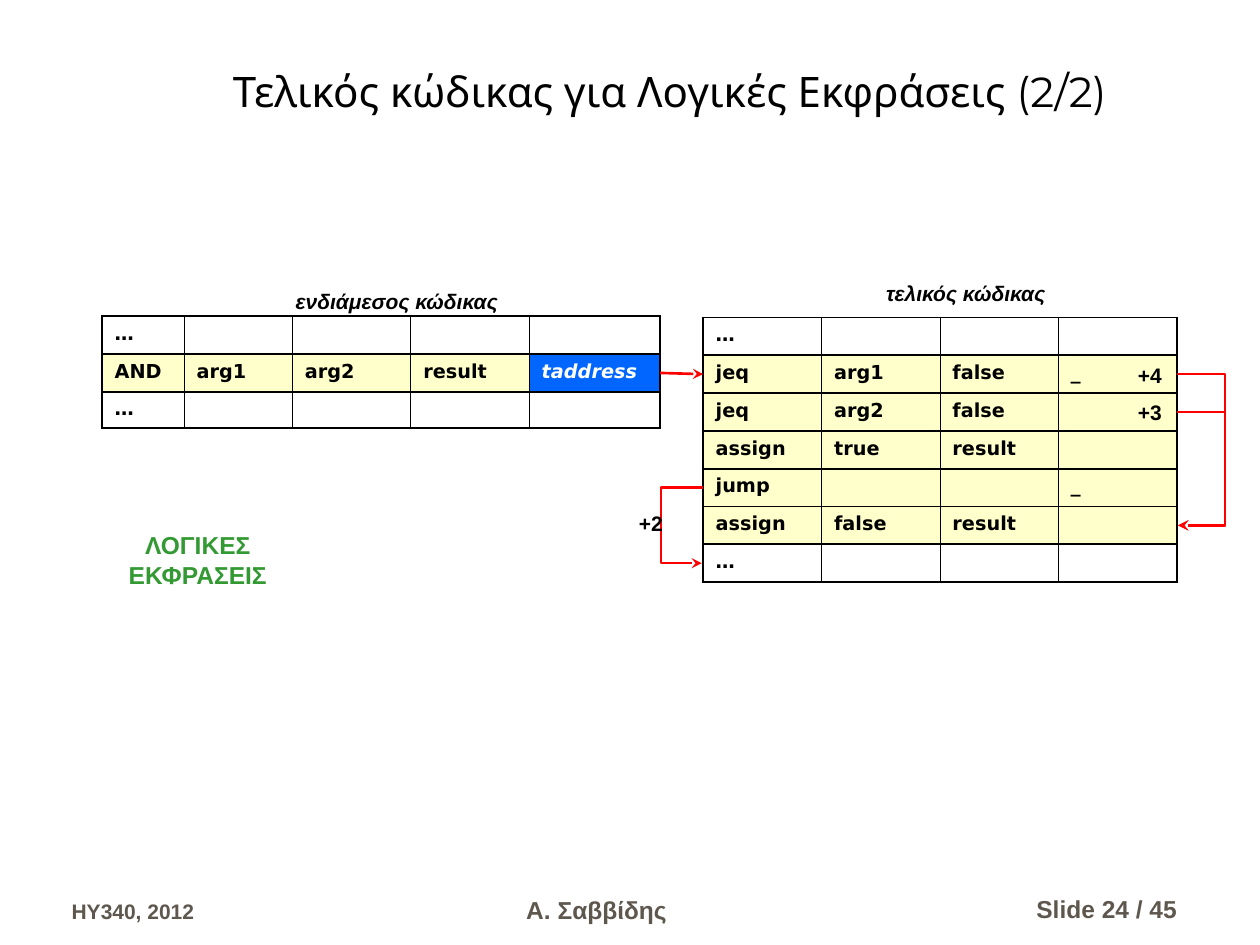
from dataclasses import dataclass

from lxml.etree import SubElement
from pptx import Presentation
from pptx.dml.color import RGBColor
from pptx.enum.shapes import MSO_CONNECTOR
from pptx.enum.text import MSO_ANCHOR, PP_ALIGN
from pptx.oxml import parse_xml
from pptx.oxml.ns import nsdecls, qn
from pptx.util import Inches, Pt


@dataclass(frozen=True)
class Theme:
    black: str = "000000"
    white: str = "FFFFFF"
    code: str = "FFFFCC"
    target: str = "0066FF"
    arrow: str = "FF0000"
    topic: str = "339933"
    footer: str = "5E574E"
    title_font: str = "Montserrat"
    body_font: str = "Arial"
    code_font: str = "DejaVu Sans"
    title_size: int = 24
    large: int = 14
    small: int = 12
    code_size: int = 11
    thick: float = 1.08
    thin: float = 0.45
    arrow_width: float = 1.5


T = Theme()
ROW = 0.3
NUDGE = 0.01
LEFT_X, LEFT_Y = 0.81, 2.51
LEFT_COLS = [0.65, 0.86, 0.94, 0.94, 1.04]
RIGHT_X, RIGHT_Y = 5.58, 2.52
RIGHT_COLS = [0.94] * 4
LEFT_END = LEFT_X + sum(LEFT_COLS)
RIGHT_END = RIGHT_X + sum(RIGHT_COLS)
INTERMEDIATE = [["…"], ["AND", "arg1", "arg2", "result", "taddress"], ["…"]]
FINAL = [
    ["…"],
    ["jeq", "arg1", "false", "_"],
    ["jeq", "arg2", "false"],
    ["assign", "true", "result"],
    ["jump", "", "", "_"],
    ["assign", "false", "result"],
    ["…"],
]


def write(tf, text, size=T.small, font=T.body_font, color=T.black,
          bold=True, italic=False, align=PP_ALIGN.CENTER):
    for i, line in enumerate(text.split("\n")):
        p = tf.add_paragraph() if i else tf.paragraphs[0]
        p.alignment = align
        if not line:
            SubElement(p._p, qn("a:endParaRPr"), sz=str(size * 100))
            continue
        r = p.add_run()
        r.text = line
        r.font.size = Pt(size)
        r.font.name = font
        r.font.bold = bold
        r.font.italic = italic
        r.font.color.rgb = RGBColor.from_string(color)


def add_label(s, box, text, wrap=False, anchor=MSO_ANCHOR.TOP, **fmt):
    tf = s.shapes.add_textbox(*map(Inches, box)).text_frame
    tf.word_wrap = wrap
    tf.vertical_anchor = anchor
    write(tf, text, **fmt)


def set_borders(cell, left, right):
    tc_pr = cell._tc.get_or_add_tcPr()
    widths = {"lnL": left, "lnR": right, "lnT": T.thick, "lnB": T.thick}
    for i, (tag, width) in enumerate(widths.items()):
        tc_pr.insert(i, parse_xml(
            f'<a:{tag} {nsdecls("a")} w="{Pt(width)}"><a:solidFill>'
            f'<a:srgbClr val="{T.black}"/></a:solidFill></a:{tag}>'))


def add_code_table(s, x, y, cols, heights, rows):
    table = s.shapes.add_table(len(rows), len(cols), Inches(x), Inches(y),
                               Inches(sum(cols)), Inches(sum(heights))).table
    table.first_row = table.horz_banding = False
    for col, width in zip(table.columns, cols):
        col.width = Inches(width)
    last = len(cols) - 1
    for row, height, words in zip(table.rows, heights, rows):
        row.height = Inches(height)
        for c, cell in enumerate(row.cells):
            word = words[c] if c < len(words) else ""
            is_target = word == "taddress"
            fill = T.white if words[0] == "…" else T.code
            cell.fill.solid()
            cell.fill.fore_color.rgb = RGBColor.from_string(T.target if is_target else fill)
            write(cell.text_frame, word, size=T.code_size, font=T.code_font,
                  color=T.white if is_target else T.black,
                  italic=word in ("taddress", "_"), align=PP_ALIGN.LEFT)
            set_borders(cell, T.thin if c else T.thick, T.thick if c == last else T.thin)


def add_arrow(s, start, end, reach=None):
    kind = MSO_CONNECTOR.STRAIGHT if reach is None else MSO_CONNECTOR.ELBOW
    cxn = s.shapes.add_connector(kind, *map(Inches, (*start, *end)))
    cxn.line.color.rgb = RGBColor.from_string(T.arrow)
    cxn.line.width = Pt(T.arrow_width)
    SubElement(cxn.line._get_or_add_ln(), qn("a:tailEnd"), type="stealth")
    sp_pr = cxn._element.spPr
    SubElement(sp_pr, qn("a:effectLst"))
    if reach is not None:
        guides = sp_pr.find(qn("a:prstGeom")).find(qn("a:avLst"))
        SubElement(guides, qn("a:gd"), name="adj1",
                   fmla=f"val {round(reach / NUDGE * 100000)}")


def row_middle(row):
    return RIGHT_Y + ROW * (row + 0.5)


def add_jump(s, x, side, first, last, reach):
    add_arrow(s, (x, row_middle(first)), (x + side * NUDGE, row_middle(last)), reach)


def add_title(s, text):
    title = s.shapes.title
    title.left, title.top, title.width, title.height = map(Inches, (1.08, 0.14, 8.47, 0.83))
    title.text_frame.vertical_anchor = MSO_ANCHOR.BOTTOM
    write(title.text_frame, text, size=T.title_size, font=T.title_font, bold=False)


def add_footer(s):
    for box, text, size, align in (
        ((0.47, 6.88, 2.19, 0.5), "HY340, 2012", T.small, PP_ALIGN.LEFT),
        ((7.36, 6.88, 2.08, 0.5), "Slide 24 / 45", T.large, PP_ALIGN.RIGHT),
        ((3.15, 6.89, 3.17, 0.5), "Α. Σαββίδης", T.large, PP_ALIGN.CENTER),
    ):
        add_label(s, box, text, wrap=True, anchor=MSO_ANCHOR.BOTTOM,
                  size=size, color=T.footer, align=align)


def main():
    prs = Presentation()
    prs.slide_width, prs.slide_height = Inches(10), Inches(7.5)
    s = prs.slides.add_slide(prs.slide_layouts[5])
    add_title(s, "Τελικός κώδικας για Λογικές Εκφράσεις (2/2)")

    add_code_table(s, LEFT_X, LEFT_Y, LEFT_COLS, [ROW, ROW, 0.28], INTERMEDIATE)
    add_code_table(s, RIGHT_X, RIGHT_Y, RIGHT_COLS, [ROW] * len(FINAL), FINAL)

    add_jump(s, RIGHT_END, 1, 1, 5, 0.39)
    add_jump(s, RIGHT_END, 1, 2, 5, 0.39)
    add_jump(s, RIGHT_X, -1, 4, 6, 0.34)
    add_arrow(s, (LEFT_END, LEFT_Y + ROW * 1.5), (RIGHT_X, row_middle(1)))

    add_label(s, (2.24, 2.24, 1.82, 0.3), "ενδιάμεσος κώδικας", italic=True)
    add_label(s, (6.92, 2.18, 1.49, 0.3), "τελικός κώδικας", italic=True)
    add_label(s, (0.91, 4.16, 1.32, 0.57), "ΛΟΓΙΚΕΣ\nΕΚΦΡΑΣΕΙΣ", size=T.large, color=T.topic)
    for x, y, offset in ((8.93, 2.83, "+4"), (8.93, 3.12, "+3"), (4.97, 4, "+2")):
        add_label(s, (x, y, 0.39, 0.3), offset)
    add_footer(s)
    prs.save("out.pptx")


if __name__ == "__main__":
    main()
